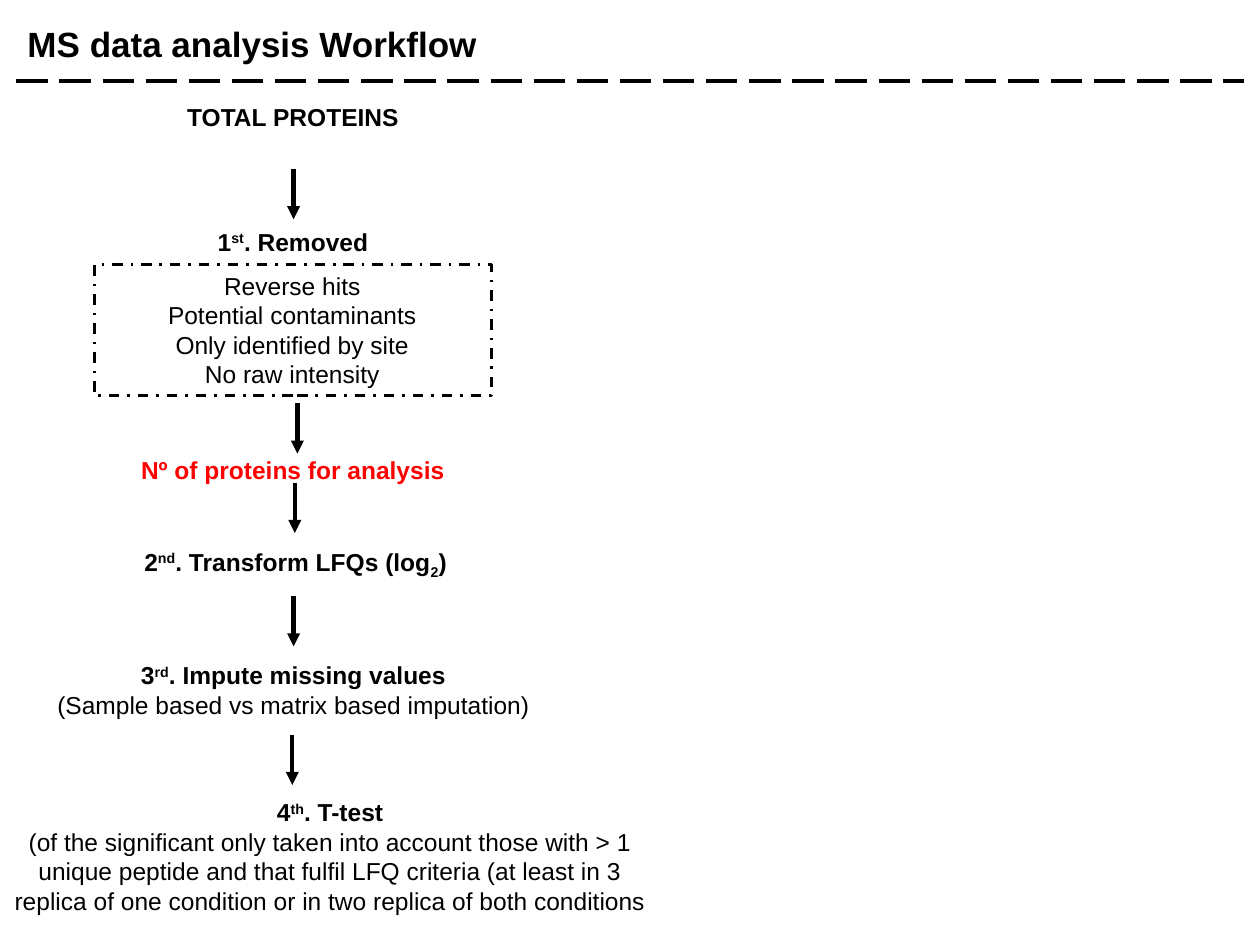
from lxml import etree
from pptx import Presentation
from pptx.dml.color import RGBColor
from pptx.enum import dml, shapes, text
from pptx.oxml.ns import qn
from pptx.util import Inches, Pt

BLACK = RGBColor(0, 0, 0)
RED = RGBColor(255, 0, 0)

deck = Presentation()
deck.slide_width, deck.slide_height = Inches(10), Inches(7.5)
page = deck.slides.add_slide(deck.slide_layouts[6])


def add_text(left, top, width, height, paragraphs, size=14, color=BLACK, align=text.PP_ALIGN.CENTER):
    box = page.shapes.add_textbox(Inches(left), Inches(top), Inches(width), Inches(height))
    frame = box.text_frame
    frame.word_wrap = True
    frame.auto_size = text.MSO_AUTO_SIZE.SHAPE_TO_FIT_TEXT
    for index, (bold, pieces) in enumerate(paragraphs):
        para = frame.paragraphs[0] if index == 0 else frame.add_paragraph()
        para.alignment = align
        for words, baseline in pieces:
            span = para.add_run()
            span.text = words
            span.font.name = "Arial"
            span.font.size = Pt(size)
            span.font.bold = bold
            span.font.color.rgb = color
            if baseline:
                span.font._element.set("baseline", str(baseline * 1000))


def add_line(x1, y1, x2, y2, width):
    line = page.shapes.add_connector(
        shapes.MSO_CONNECTOR.STRAIGHT, Inches(x1), Inches(y1), Inches(x2), Inches(y2))
    line.line.color.rgb = BLACK
    line.line.width = Pt(width)
    etree.SubElement(line._element.spPr, qn("a:effectLst"))
    return line


add_text(0.12, 0.13, 7.64, 0.44, [(True, [("MS data analysis Workflow", 0)])],
         size=20, align=text.PP_ALIGN.LEFT)
rule = add_line(0.13, 0.64, 9.87, 0.64, 2.25)
rule.line.dash_style = dml.MSO_LINE.LONG_DASH

removed_frame = page.shapes.add_shape(
    shapes.MSO_SHAPE.RECTANGLE, Inches(0.75), Inches(2.1), Inches(3.15), Inches(1.04))
removed_frame.shadow.inherit = False
removed_frame.fill.background()
removed_frame.line.color.rgb = BLACK
removed_frame.line.width = Pt(1.5)
removed_frame.line.dash_style = dml.MSO_LINE.DASH_DOT

removed_items = ["Reverse hits", "Potential contaminants", "Only identified by site", "No raw intensity"]
steps = [
    (0.75, 0.76, 3.15, 0.34, BLACK, [(True, [("TOTAL PROTEINS", 0)])]),
    (0.75, 1.75, 3.15, 0.34, BLACK, [(True, [("1", 0), ("st", 30), (". Removed", 0)])]),
    (0.94, 2.1, 2.76, 1.04, BLACK, [(False, [(item, 0)]) for item in removed_items]),
    (0.75, 3.56, 3.15, 0.34, RED, [(True, [("Nº of proteins for analysis", 0)])]),
    (0.77, 4.29, 3.15, 0.34, BLACK,
     [(True, [("2", 0), ("nd", 30), (". Transform LFQs (log", 0), ("2", -25), (")", 0)])]),
    (0.13, 5.19, 4.4, 0.57, BLACK,
     [(True, [("3", 0), ("rd", 30), (". Impute missing values", 0)]),
      (False, [("(Sample based vs matrix based imputation)", 0)])]),
    (0, 6.28, 5.24, 1.04, BLACK,
     [(True, [("4", 0), ("th", 30), (". T-test", 0)]),
      (False, [("(of the significant only taken into account those with > 1 unique peptide "
                "and that fulfil LFQ criteria (at least in 3 replica of one condition "
                "or in two replica of both conditions", 0)])]),
]
for left, top, width, height, color, paragraphs in steps:
    add_text(left, top, width, height, paragraphs, color=color)

for x, top in [(2.33, 1.34), (2.36, 3.2), (2.34, 3.83), (2.33, 4.73), (2.32, 5.83)]:
    arrow = add_line(x, top, x, top + 0.4, 2.5)
    etree.SubElement(arrow.line._get_or_add_ln(), qn("a:tailEnd"), type="triangle")

deck.save("out.pptx")
